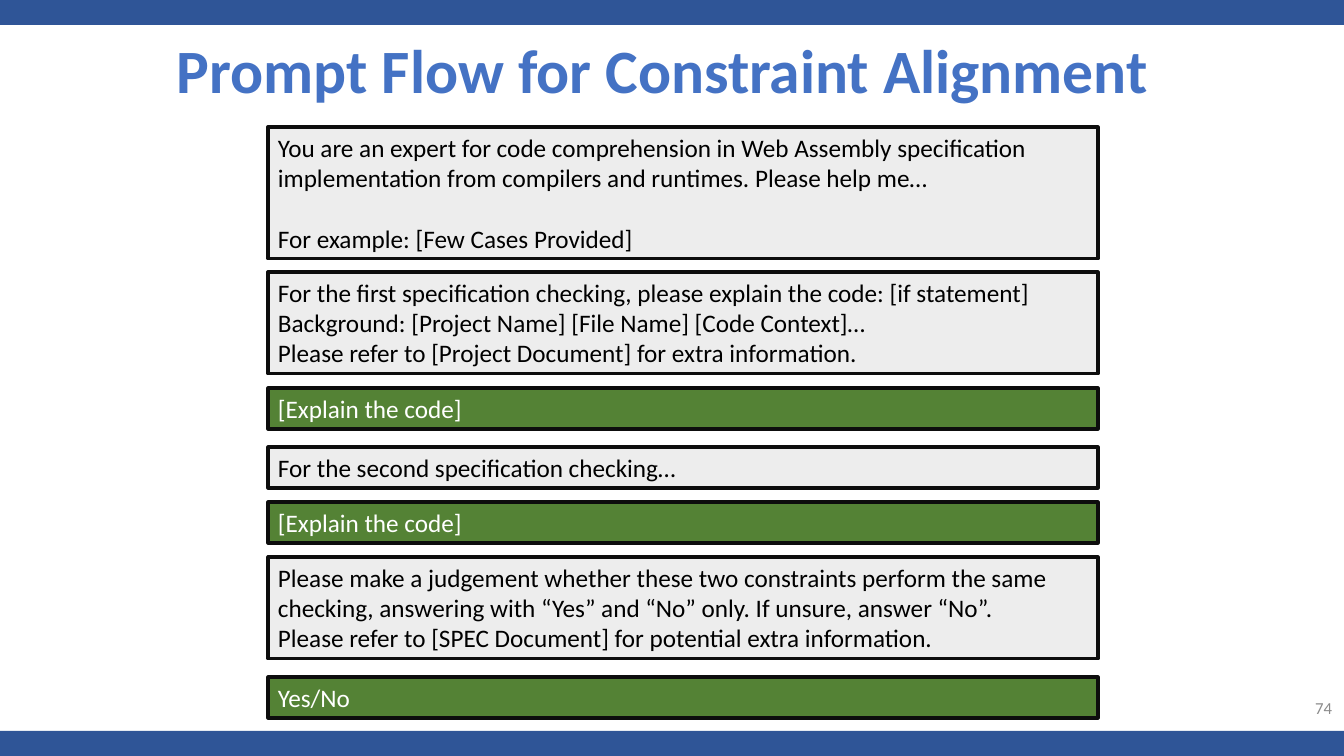
import pptx
import pptx.dml.color
import pptx.enum.shapes
import pptx.enum.text
import pptx.util

EMU_PER_PX = 914400 / 100.8
SLIDE_WIDTH, SLIDE_HEIGHT = 1344, 756
BAR_HEIGHT = 25
BOX_LEFT, BOX_WIDTH = 268, 830
LINE_HEIGHT = 22  # points, one line of 18 pt text

FONT = "Calibri"
BAR_BLUE, TITLE_BLUE = "2F5597", "4472C4"
PROMPT_GREY, ANSWER_GREEN = "EDEDED", "548235"
BLACK, WHITE, OUTLINE, NUMBER_GREY = "000000", "FFFFFF", "0D0D0D", "8C8C8C"

# Top, height, is an answer, paragraphs
MESSAGES = [
    (127, 132, False, [
        "You are an expert for code comprehension in Web Assembly specification "
        "implementation from compilers and runtimes. Please help me…",
        "For example: [Few Cases Provided]"]),
    (272, 102, False, [
        "For the first specification checking, please explain the code: [if statement]",
        "Background: [Project Name] [File Name] [Code Context]…",
        "Please refer to [Project Document] for extra information."]),
    (388, 41, True, ["[Explain the code]"]),
    (447, 41, False, ["For the second specification checking…"]),
    (502, 41, True, ["[Explain the code]"]),
    (557, 102, False, [
        "Please make a judgement whether these two constraints perform the same "
        "checking, answering with “Yes” and “No” only. If unsure, answer “No”.",
        "Please refer to [SPEC Document] for potential extra information."]),
    (677, 41, True, ["Yes/No"]),
]


def px(length):
    return pptx.util.Emu(round(length * EMU_PER_PX))


def color(hex_string):
    return pptx.dml.color.RGBColor.from_string(hex_string)


def write(shape, paragraphs, size, hex_color, alignment, bold=False):
    text_frame = shape.text_frame
    text_frame.word_wrap = True
    text_frame.text = "\n".join(paragraphs)
    for paragraph in text_frame.paragraphs:
        paragraph.alignment = alignment
        for run in paragraph.runs:
            run.font.name = FONT
            run.font.size = pptx.util.Pt(size)
            run.font.bold = bold
            run.font.color.rgb = color(hex_color)


def add_rectangle(slide, left, top, width, height, fill):
    shape = slide.shapes.add_shape(
        pptx.enum.shapes.MSO_SHAPE.RECTANGLE,
        px(left), px(top), px(width), px(height))
    shape.shadow.inherit = False
    shape.fill.solid()
    shape.fill.fore_color.rgb = color(fill)
    shape.line.fill.background()
    return shape


def add_message(slide, top, height, is_answer, paragraphs):
    fill, text_color = (ANSWER_GREEN, WHITE) if is_answer else (PROMPT_GREY, BLACK)
    box = add_rectangle(slide, BOX_LEFT, top, BOX_WIDTH, height, fill)
    box.line.color.rgb = color(OUTLINE)
    box.line.width = pptx.util.Pt(2.25)
    write(box, paragraphs, 18, text_color, pptx.enum.text.PP_ALIGN.LEFT)
    box.text_frame.vertical_anchor = pptx.enum.text.MSO_ANCHOR.TOP
    box.text_frame.auto_size = pptx.enum.text.MSO_AUTO_SIZE.SHAPE_TO_FIT_TEXT
    return box


def add_label(slide, left, top, width, height, text, size, hex_color, alignment, bold=False):
    label = slide.shapes.add_textbox(px(left), px(top), px(width), px(height))
    write(label, [text], size, hex_color, alignment, bold)
    label.text_frame.vertical_anchor = pptx.enum.text.MSO_ANCHOR.MIDDLE
    return label


def main():
    presentation = pptx.Presentation()
    presentation.slide_width = px(SLIDE_WIDTH)
    presentation.slide_height = px(SLIDE_HEIGHT)
    slide = presentation.slides.add_slide(presentation.slide_layouts[6])

    # Bars at the bottom and top edges
    for top in (SLIDE_HEIGHT - BAR_HEIGHT, 0):
        add_rectangle(slide, 0, top, SLIDE_WIDTH, BAR_HEIGHT, BAR_BLUE)

    # Title
    title = add_label(slide, 0, 0, 1326, 147, "Prompt Flow for Constraint Alignment",
                      44, TITLE_BLUE, pptx.enum.text.PP_ALIGN.CENTER, bold=True)
    title.text_frame.paragraphs[0].line_spacing = 0.9

    # Conversation, with a gap of one line before the example
    boxes = [add_message(slide, *message) for message in MESSAGES]
    example = boxes[0].text_frame.paragraphs[1]
    example.space_before = pptx.util.Pt(LINE_HEIGHT)

    # Slide number
    add_label(slide, 1040, 688, 302, 40, "74", 12, NUMBER_GREY,
              pptx.enum.text.PP_ALIGN.RIGHT)

    presentation.save("out.pptx")


if __name__ == "__main__":
    main()
